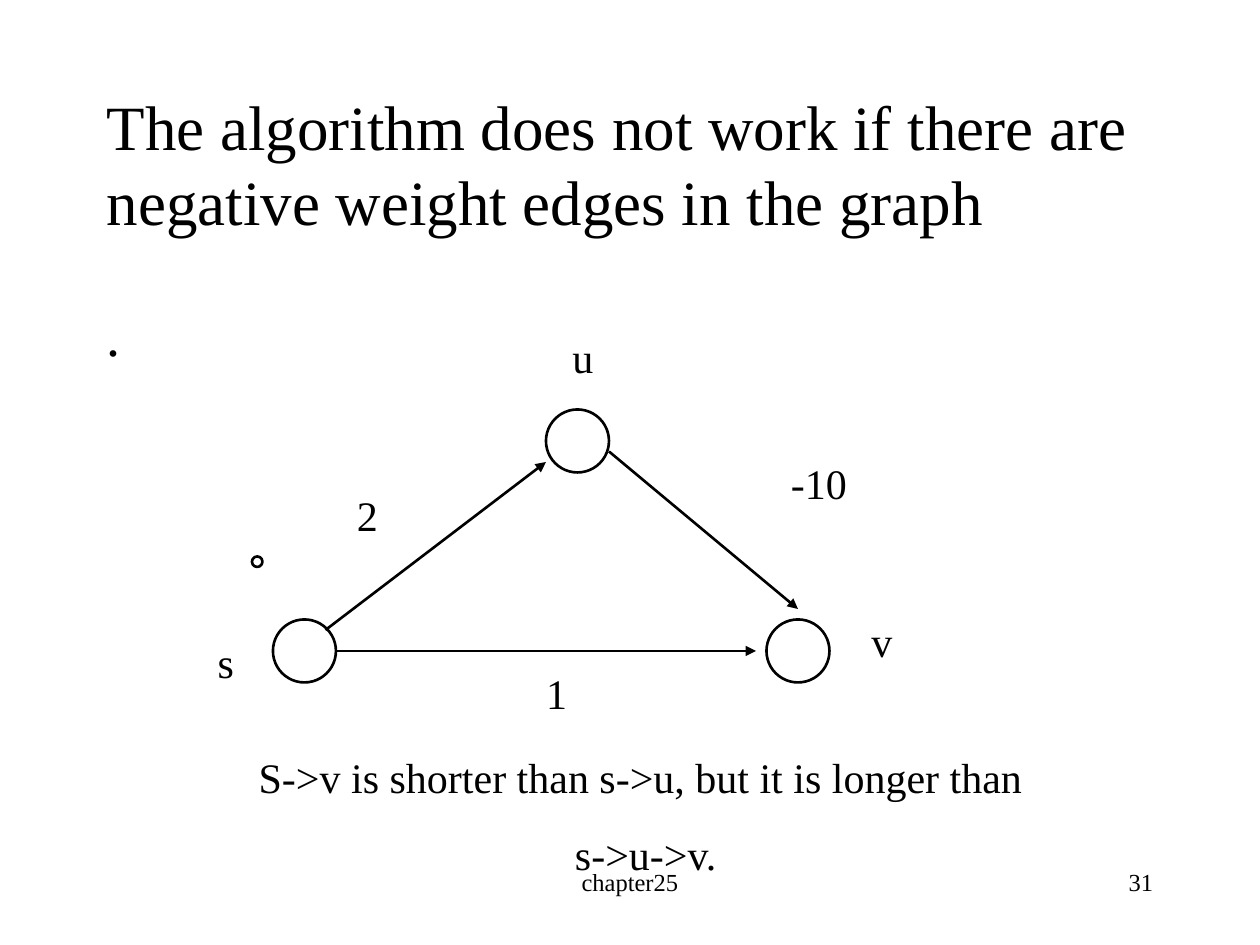
from lxml.etree import SubElement as Sub
from pptx import Presentation
from pptx.dml.color import RGBColor as RGB
from pptx.enum.shapes import MSO_CONNECTOR as Link, MSO_SHAPE as Shape
from pptx.enum.text import MSO_ANCHOR as Anchor, PP_ALIGN as Align
from pptx.oxml.ns import qn
from pptx.util import Inches, Pt

INK = {"text": "000000", "line": "000000", "fill": "FFFFFF"}


class Board:
    font = "Times New Roman"
    width = Pt(1.5)
    cell = Inches(1) / 12

    def __init__(self, deck):
        self.slide = deck.slides.add_slide(deck.slide_layouts[6])
        self.shapes = self.slide.shapes

    def grid(self, *cells):
        return [round(n * self.cell) for n in cells]

    def color(self, name):
        return RGB.from_string(INK[name])

    def stroke(self, item):
        item.line.color.rgb = self.color("line")
        item.line.width = self.width

    def text(self, area, *lines, size=24, align=Align.CENTER, anchor=Anchor.TOP, gap=15):
        frame = self.shapes.add_textbox(*self.grid(*area)).text_frame
        frame.word_wrap = True
        frame.vertical_anchor = anchor
        frame.text = "\n".join(lines)
        for i, para in enumerate(frame.paragraphs):
            para.alignment = align
            para.space_before = Pt(gap if i else 0)
            para.font.name = self.font
            para.font.size = Pt(size)
            para.font.color.rgb = self.color("text")

    def node(self, col, row, size=6):
        dot = self.shapes.add_shape(Shape.OVAL, *self.grid(col, row, size, size))
        dot.shadow.inherit = False
        dot.fill.solid()
        dot.fill.fore_color.rgb = self.color("fill")
        self.stroke(dot)

    def edge(self, *ends):
        edge = self.shapes.add_connector(Link.STRAIGHT, *self.grid(*ends))
        self.stroke(edge)
        Sub(edge.line._get_or_add_ln(), qn("a:tailEnd"), type="triangle")
        Sub(edge._element.spPr, qn("a:effectLst"))


def main():
    deck = Presentation()
    deck.slide_width, deck.slide_height = Inches(10), Inches(7.5)
    board = Board(deck)

    board.text((41, 82, 38, 6), "chapter25", size=14)
    board.text((86, 82, 25, 6), "31", size=14, align=Align.RIGHT)
    board.text((9, 8, 102, 15),
               "The algorithm does not work if there are negative weight edges in the graph",
               size=36, align=Align.LEFT, anchor=Anchor.MIDDLE)
    board.text((9, 28, 102, 54), ".", size=32, align=Align.LEFT)

    for spot in ((26, 59), (24, 53, 1), (52, 39), (73, 59)):
        board.node(*spot)
    for ends in ((31, 60, 52, 44), (32, 62, 72, 62), (58, 43, 76, 58)):
        board.edge(*ends)

    labels = (("1", 48, 63, 10), ("2", 32, 46, 6), ("-10", 68, 43, 20),
              ("s", 18, 60, 7), ("v", 81, 58, 6), ("u", 52, 31, 7))
    for word, col, row, wide in labels:
        board.text((col, row, wide, 6), word)
    board.text((14, 71, 95, 13.3),
               "S->v is shorter than s->u, but it is longer than ", "s->u->v.")

    deck.save("out.pptx")


if __name__ == "__main__":
    main()
